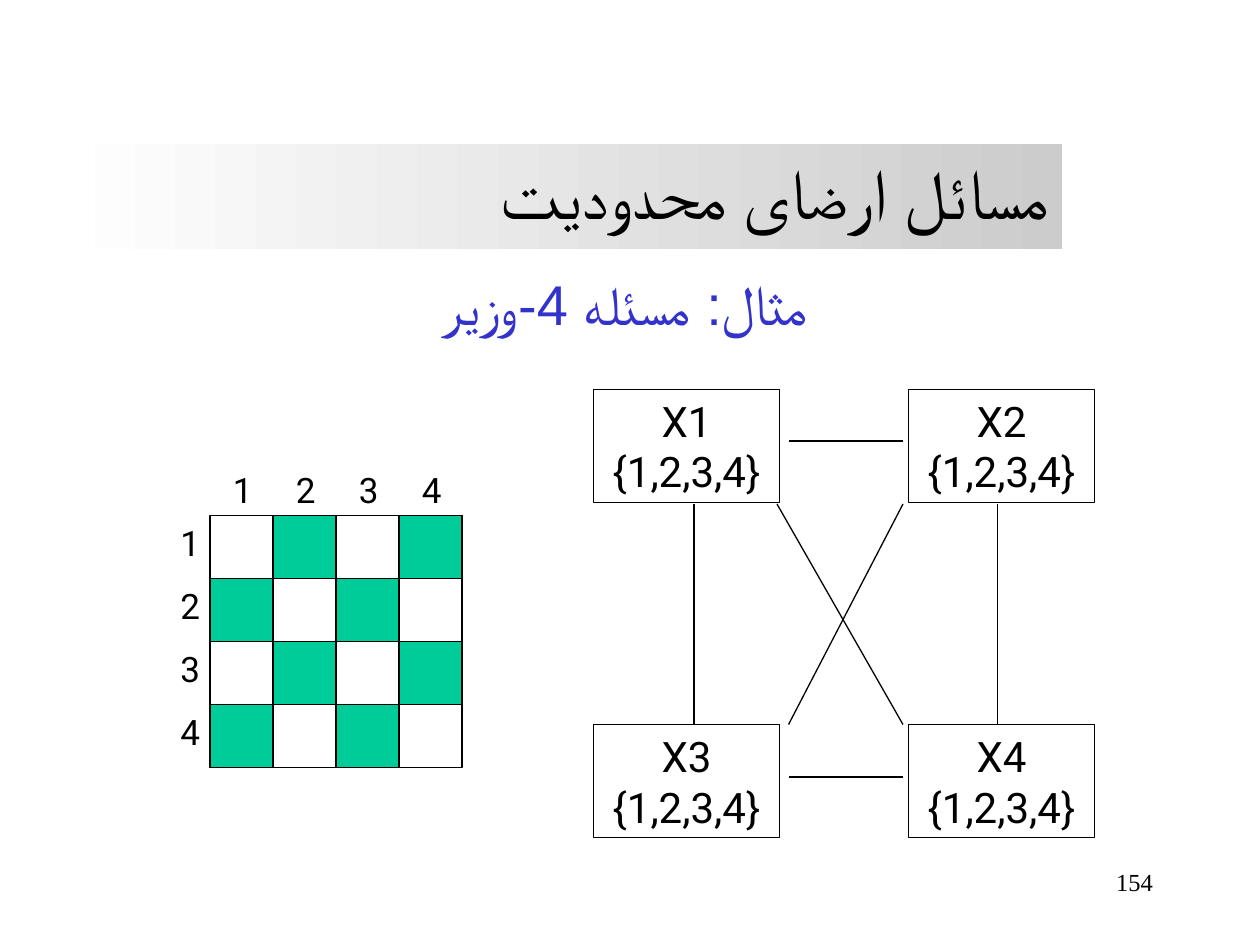
from dataclasses import dataclass

import pptx
import pptx.dml.color
import pptx.enum.shapes
import pptx.enum.text
import pptx.oxml.ns
import pptx.util
from lxml import etree

COLORS = {"ink": "000000", "green": "00CC99", "blue": "3333CC", "white": "FFFFFF", "gray": "CCCCCC"}
COLUMNS, ROWS = 120, 90
UNIT = pptx.util.Inches(10) / COLUMNS
SIZE = 4
CELL = 6
BOARD_LEFT, BOARD_TOP = 20, 49.08
ALIGN = pptx.enum.text.PP_ALIGN
RECTANGLE = pptx.enum.shapes.MSO_SHAPE.RECTANGLE


@dataclass(frozen=True)
class Area:
    """A rectangle in grid columns and rows."""

    left: float
    top: float
    width: float
    height: float

    def lengths(self) -> tuple[int, ...]:
        """Return left, top, width and height in slide units."""
        return tuple(grid(value) for value in (self.left, self.top, self.width, self.height))


@dataclass(frozen=True)
class Style:
    """The look of a paragraph."""

    font: str
    size: float
    color: str = "ink"
    align: ALIGN = ALIGN.LEFT
    rtl: bool = False


@dataclass(frozen=True)
class Variable:
    """A constraint variable and its box's corner."""

    name: str
    left: float
    top: float


@dataclass(frozen=True)
class Link:
    """A constraint line from one grid point to another."""

    start: tuple[float, float]
    end: tuple[float, float]


LABEL = Style("Roboto", 20)
DOMAIN = Style("Roboto", 24, align=ALIGN.CENTER)
VARIABLES = [
    Variable(f"X{2 * row + column + 1}", left, top)
    for row, top in enumerate((37.08, 69))
    for column, left in enumerate((56.5, 86.5))
]
LINKS = [
    Link((75.1, 42), (86, 42)),
    Link((66.1, 48), (66.1, 69)),
    Link((75.1, 74), (86, 74)),
    Link((95, 48), (95, 69)),
    Link((74, 48), (86, 69)),
    Link((86, 48), (75.1, 69)),
]


def grid(value: float) -> int:
    """Turn grid steps into slide units."""
    return round(value * UNIT)


def color(name: str) -> pptx.dml.color.RGBColor:
    """Look up a named colour."""
    return pptx.dml.color.RGBColor.from_string(COLORS[name])


def write(shape, lines: list[str], style: Style, wrap: bool = True, grow: bool = True) -> None:
    """Put styled lines of text into a shape."""
    frame = shape.text_frame
    frame.text = "\n".join(lines)
    frame.word_wrap = wrap
    frame.vertical_anchor = pptx.enum.text.MSO_ANCHOR.TOP
    fit = pptx.enum.text.MSO_AUTO_SIZE
    frame.auto_size = fit.SHAPE_TO_FIT_TEXT if grow else fit.NONE
    for para in frame.paragraphs:
        para.alignment = style.align
        para.font.name = style.font
        para.font.size = pptx.util.Pt(style.size)
        para.font.color.rgb = color(style.color)
        properties = para._p.get_or_add_pPr()
        defaults = properties.find(pptx.oxml.ns.qn("a:defRPr"))
        etree.SubElement(defaults, pptx.oxml.ns.qn("a:cs"), typeface=style.font)
        if style.rtl:
            properties.set("rtl", "1")


def add_text(page, area: Area, text: str, style: Style, wrap: bool = True, grow: bool = True) -> None:
    """Add a text box with one line."""
    write(page.shapes.add_textbox(*area.lengths()), [text], style, wrap, grow)


def add_box(page, area: Area, fill: str | None = None):
    """Add an outlined rectangle."""
    box = page.shapes.add_shape(RECTANGLE, *area.lengths())
    box.shadow.inherit = False
    if fill:
        box.fill.solid()
        box.fill.fore_color.rgb = color(fill)
    else:
        box.fill.background()
    box.line.color.rgb = color("ink")
    box.line.width = pptx.util.Pt(0.75)
    return box


def add_link(page, link: Link) -> None:
    """Add a straight constraint line."""
    ends = [grid(value) for value in (*link.start, *link.end)]
    line = page.shapes.add_connector(pptx.enum.shapes.MSO_CONNECTOR.STRAIGHT, *ends)
    line.line.color.rgb = color("ink")
    line.line.width = pptx.util.Pt(0.75)
    etree.SubElement(line._element.spPr, pptx.oxml.ns.qn("a:effectLst"))


def add_title(page) -> None:
    """Format the title as a band fading to gray."""
    title = page.shapes.title
    title.left, title.top, title.width, title.height = Area(5.16, 13.68, 96, 9.24).lengths()
    title.fill.gradient()
    title.fill.gradient_angle = 0
    for stop, name in zip(title.fill.gradient_stops, ("white", "gray")):
        stop.color.rgb = color(name)
    write(title, ["مسائل ارضای محدوديت"], Style("Times New Roman", 40, align=ALIGN.RIGHT))


def add_board(page) -> None:
    """Draw the numbered chessboard."""
    add_box(page, Area(BOARD_LEFT, BOARD_TOP, SIZE * CELL, SIZE * CELL))
    for row in range(SIZE):
        for column in range(SIZE):
            if (row + column) % 2:
                area = Area(BOARD_LEFT + column * CELL, BOARD_TOP + row * CELL, CELL, CELL)
                add_box(page, area, "green")
    for index in range(SIZE):
        step = index * CELL
        for left, top in ((16, BOARD_TOP + step), (21 + step, 44)):
            add_text(page, Area(left, top, 4.3, 5.25), str(index + 1), LABEL, wrap=False)


def main() -> None:
    """Build the slide and save it."""
    deck = pptx.Presentation()
    deck.slide_width, deck.slide_height = grid(COLUMNS), grid(ROWS)
    page = deck.slides.add_slide(deck.slide_layouts[5])
    add_title(page)
    subtitle = Style("Arial", 32, "blue", ALIGN.CENTER, rtl=True)
    add_text(page, Area(11.76, 25.08, 95.4, 7.68), "مثال: مسئله 4-وزير", subtitle)
    add_board(page)
    for variable in VARIABLES:
        box = add_box(page, Area(variable.left, variable.top, 17.76, 10.8))
        write(box, [variable.name, "{1,2,3,4}"], DOMAIN, wrap=False)
    for link in LINKS:
        add_link(page, link)
    number = Style("Times New Roman", 14, align=ALIGN.RIGHT)
    add_text(page, Area(86, 82, 25, 6), "154", number, grow=False)
    deck.save("out.pptx")


if __name__ == "__main__":
    main()
